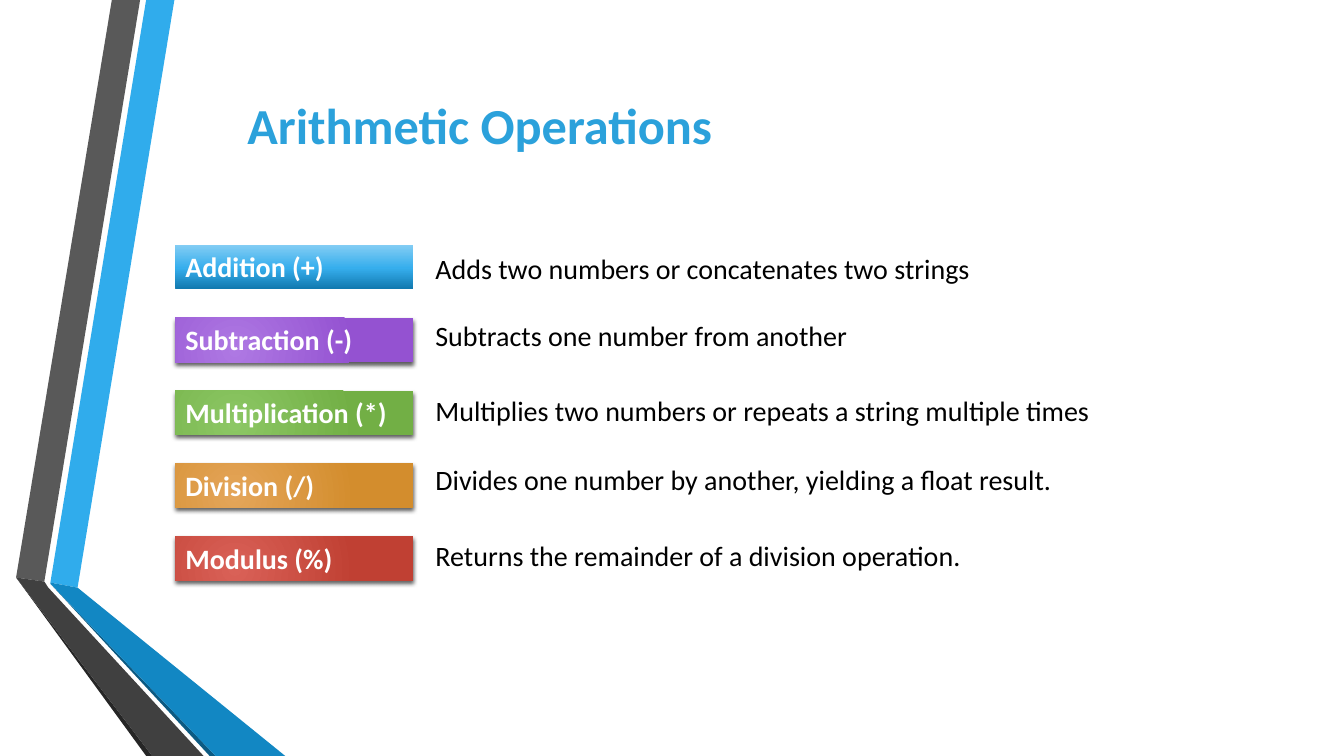
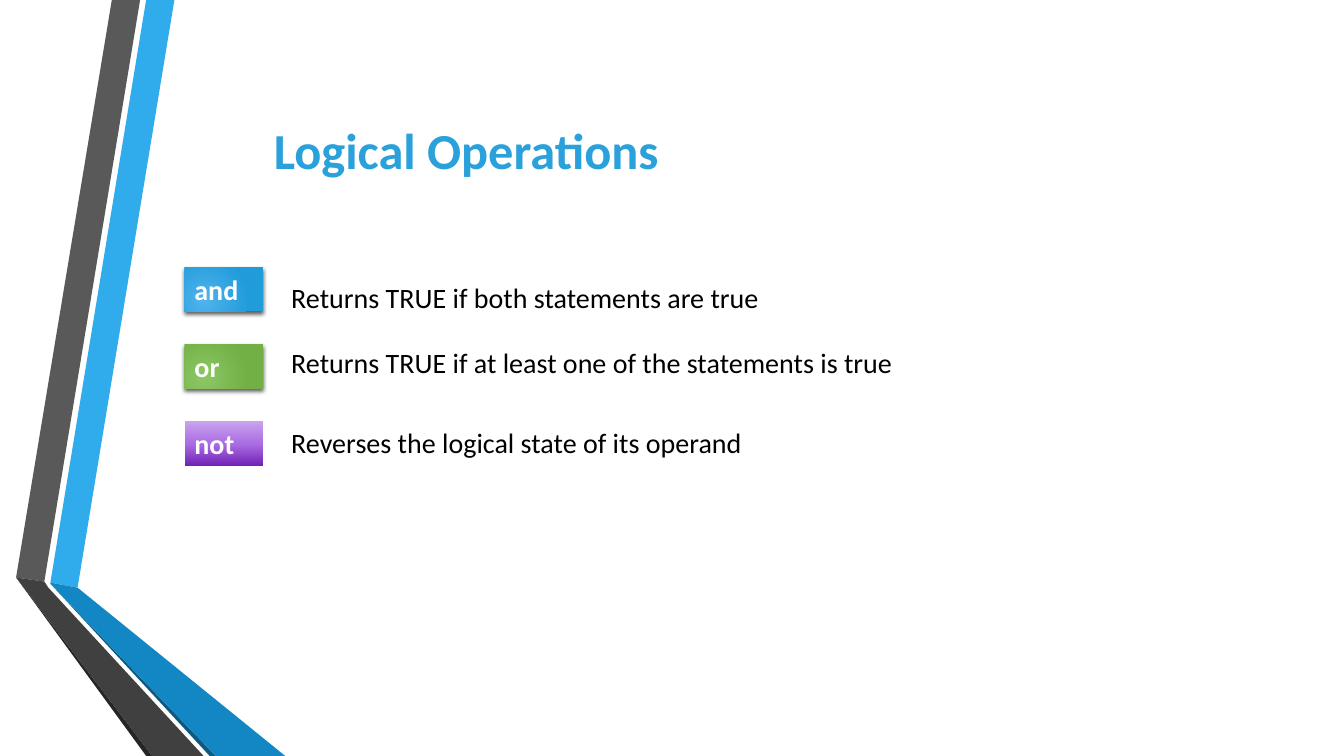
from dataclasses import dataclass

from lxml.etree import SubElement
from pptx import Presentation
from pptx.dml.color import RGBColor
from pptx.enum.shapes import MSO_SHAPE
from pptx.enum.text import MSO_ANCHOR, MSO_AUTO_SIZE, PP_ALIGN
from pptx.oxml.ns import qn
from pptx.util import Inches, Pt


@dataclass(frozen=True)
class Theme:
    font: str = "Calibri"
    title_size: int = 36
    text_size: int = 20
    title: str = "2BA1DB"
    text: str = "000000"
    badge_text: str = "FFFFFF"
    shadow: str = "000000"


@dataclass(frozen=True)
class Box:
    left: float
    top: float
    width: float
    height: float

    def lengths(self):
        return [Inches(v) for v in (self.left, self.top, self.width, self.height)]


THEME = Theme()
ROW_HEIGHT = 0.44

GRADIENTS = {
    "glossy blue": ((0, "1078AE"), (48, "36AEED"), (100, "83CDF4")),
    "glossy purple": ((0, "7124B7"), (48, "A96BE2"), (100, "CAA3ED")),
    "blue": ((0, "51B3ED"), (100, "219CDB")),
    "purple": ((0, "AE78E3"), (100, "9452D1")),
    "green": ((0, "8CC764"), (100, "72AF45")),
    "orange": ((0, "E4A559"), (100, "D38D2D")),
    "red": ((0, "D96157"), (100, "C04033")),
}

RIBBONS = (
    ("30ACEC", ((0.5, 5.78), (0.77, 5.83), (1.73, 0), (1.45, 0))),
    ("595959", ((1.39, 0), (1.11, 0), (0.16, 5.73), (0.44, 5.77))),
    ("262626", ((0.16, 5.73), (1.45, 7.5), (1.51, 7.5))),
    ("0C5A82", ((0.5, 5.79), (2.08, 7.5), (2.14, 7.5))),
    ("1287C3", ((0.5, 5.79), (2.14, 7.5), (2.83, 7.5), (0.77, 5.83), (0.5, 5.78))),
    ("404040", ((2.02, 7.5), (0.48, 5.83), (0.44, 5.77), (0.16, 5.73), (1.51, 7.5))),
)


def format_text(tf, size, color, bold=False):
    for p in tf.paragraphs:
        for r in p.runs:
            r.font.name = THEME.font
            r.font.size = Pt(size)
            r.font.bold = bold
            r.font.color.rgb = RGBColor.from_string(color)


def add_color(parent, color):
    return SubElement(parent, qn("a:srgbClr"), val=color)


def fill_gradient(sp, stops):
    sp.fill.gradient()
    grad = sp._element.spPr.find(qn("a:gradFill"))
    for child in list(grad):
        grad.remove(child)
    stop_list = SubElement(grad, qn("a:gsLst"))
    for position, color in stops:
        add_color(SubElement(stop_list, qn("a:gs"), pos=str(position * 1000)), color)
    if len(stops) > 2:
        SubElement(grad, qn("a:lin"), ang="16200000", scaled="0")
    else:
        circle = SubElement(grad, qn("a:path"), path="circle")
        SubElement(circle, qn("a:fillToRect"),
                   l="50000", t="100000", r="100000", b="50000")


def cast_shadow(sp):
    effects = sp._element.spPr.find(qn("a:effectLst"))
    shadow = SubElement(effects, qn("a:outerShdw"), blurRad=str(Pt(3)),
                        dist=str(Pt(2)), dir="5400000", rotWithShape="0")
    SubElement(add_color(shadow, THEME.shadow), qn("a:alpha"), val="64000")


def add_ribbons(s, layout):
    for i, (color, points) in enumerate(RIBBONS):
        start, *rest = [(Inches(x), Inches(y)) for x, y in points]
        builder = s.shapes.build_freeform(*start, scale=1.0)
        builder.add_line_segments(rest, close=True)
        sp = builder.convert_to_shape()
        sp.fill.solid()
        sp.fill.fore_color.rgb = RGBColor.from_string(color)
        sp.line.fill.background()
        sp.shadow.inherit = False
        layout.shapes._spTree.insert(2 + i, sp._element)


def add_title(s, box, text):
    title = s.shapes.title
    title.left, title.top, title.width, title.height = box.lengths()
    tf = title.text_frame
    tf.text = text
    tf.word_wrap = True
    tf.vertical_anchor = MSO_ANCHOR.MIDDLE
    tf.paragraphs[0].alignment = PP_ALIGN.CENTER
    format_text(tf, THEME.title_size, THEME.title, bold=True)


def add_badge(s, box, text, gradient):
    stops = GRADIENTS[gradient]
    sp = s.shapes.add_shape(MSO_SHAPE.RECTANGLE, *box.lengths())
    sp.line.fill.background()
    sp.shadow.inherit = False
    fill_gradient(sp, stops)
    if len(stops) == 2:
        cast_shadow(sp)
    tf = sp.text_frame
    tf.text = text
    tf.word_wrap = True
    tf.auto_size = MSO_AUTO_SIZE.SHAPE_TO_FIT_TEXT
    tf.vertical_anchor = MSO_ANCHOR.TOP
    tf.paragraphs[0].alignment = PP_ALIGN.LEFT
    format_text(tf, THEME.text_size, THEME.badge_text, bold=True)


def add_description(s, box, text):
    tf = s.shapes.add_textbox(*box.lengths()).text_frame
    tf.text = text
    tf.word_wrap = True
    tf.paragraphs[0].line_spacing = 0.9
    format_text(tf, THEME.text_size, THEME.text)


def add_operators(s, box, badge_width, gap, rows):
    pitch = (box.height - ROW_HEIGHT) / (len(rows) - 1)
    text_left = box.left + badge_width + gap
    text_width = box.width - badge_width - gap
    for i, (name, gradient, shift, description) in enumerate(rows):
        top = box.top + i * pitch
        add_badge(s, Box(box.left, top, badge_width, ROW_HEIGHT), name, gradient)
        add_description(s, Box(text_left, top + shift, text_width, ROW_HEIGHT),
                        description)


SLIDES = (
    ("Arithmetic Operations", Box(2.13, 0.86, 5.26, 0.74),
     Box(1.74, 2.43, 10.22, 3.33), 2.36, 0.12, (
         ("Addition (+)", "glossy blue", 0.05,
          "Adds two numbers or concatenates two strings"),
         ("Subtraction (-)", "purple", 0,
          "Subtracts one number from another"),
         ("Multiplication (*)", "green", 0.02,
          "Multiplies two numbers or repeats a string multiple times"),
         ("Division (/)", "orange", -0.02,
          "Divides one number by another, yielding a float result."),
         ("Modulus (%)", "red", 0.01,
          "Returns the remainder of a division operation."),
     )),
    ("Logical Operations", Box(2.32, 1.15, 4.61, 0.67),
     Box(1.83, 2.65, 7.21, 1.97), 0.78, 0.18, (
         ("and", "blue", 0.12, "Returns TRUE if both statements are true"),
         ("or", "green", 0,
          "Returns TRUE if at least one of the statements is true"),
         ("not", "glossy purple", 0.03,
          "Reverses the logical state of its operand"),
     )),
)


def main():
    prs = Presentation()
    prs.slide_width, prs.slide_height = Inches(13.33), Inches(7.5)
    layout = prs.slide_layouts[5]
    for i, (title, title_box, box, badge_width, gap, rows) in enumerate(SLIDES):
        s = prs.slides.add_slide(layout)
        if i == 0:
            add_ribbons(s, layout)
        add_title(s, title_box, title)
        add_operators(s, box, badge_width, gap, rows)
    prs.save("out.pptx")


if __name__ == "__main__":
    main()
